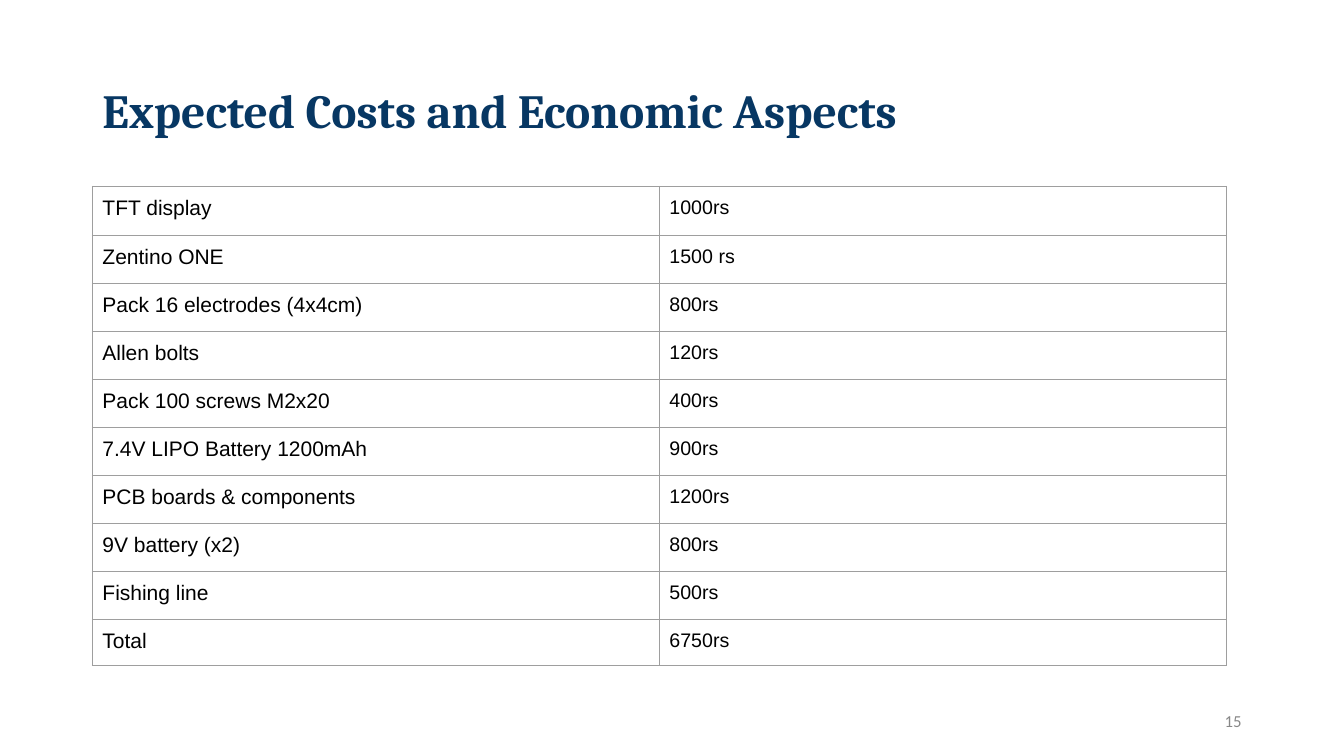
from lxml import etree
from pptx import Presentation
from pptx.dml.color import RGBColor
from pptx.enum import text
from pptx.oxml import ns
from pptx.util import Pt

COLORS = {"title": "073763", "body": "000000", "number": "888888", "border": "9E9E9E"}
COSTS = [
    ("TFT display", "1000rs"),
    ("Zentino ONE", "1500 rs"),
    ("Pack 16 electrodes (4x4cm)", "800rs"),
    ("Allen bolts", "120rs"),
    ("Pack 100 screws M2x20", "400rs"),
    ("7.4V LIPO Battery 1200mAh", "900rs"),
    ("PCB boards & components", "1200rs"),
    ("9V battery (x2)", "800rs"),
    ("Fishing line", "500rs"),
    ("Total", "6750rs"),
]
ROW_HEIGHTS = [35] + [34.3] * (len(COSTS) - 2) + [33.2]
ITEM_SIZE, PRICE_SIZE = 15, 14


def style(p, name, size, color, bold=False):
    p.font.name = name
    p.font.size = Pt(size)
    p.font.bold = bold
    p.font.color.rgb = RGBColor.from_string(COLORS[color])


def set_insets(target, x, y):
    target.margin_left = target.margin_right = Pt(x)
    target.margin_top = target.margin_bottom = Pt(y)


def add_borders(cell, width=0.75):
    tc_pr = cell._tc.get_or_add_tcPr()
    for i, side in enumerate(("lnL", "lnR", "lnT", "lnB")):
        ln = etree.Element(ns.qn("a:" + side), w=str(Pt(width)))
        fill = etree.SubElement(ln, ns.qn("a:solidFill"))
        etree.SubElement(fill, ns.qn("a:srgbClr"), val=COLORS["border"])
        tc_pr.insert(i, ln)


def add_title(slide, x, y, w, h):
    sp = slide.shapes.title
    sp.left, sp.top, sp.width, sp.height = Pt(x), Pt(y), Pt(w), Pt(h)
    tf = sp.text_frame
    tf.text = "Expected Costs and Economic Aspects"
    tf.word_wrap = True
    tf.vertical_anchor = text.MSO_ANCHOR.MIDDLE
    set_insets(tf, 7.2, 3.6)
    p = tf.paragraphs[0]
    p.alignment = text.PP_ALIGN.LEFT
    p.line_spacing = 0.9
    p.space_before = Pt(0)
    style(p, "Cambria", 34, "title", bold=True)


def add_cost_table(slide, x, y, w):
    frame = slide.shapes.add_table(
        len(COSTS), 2, Pt(x), Pt(y), Pt(w), Pt(sum(ROW_HEIGHTS)))
    table = frame.table
    table.first_row = table.horz_banding = False
    for column in table.columns:
        column.width = Pt(w / 2)
    for row, height, values in zip(table.rows, ROW_HEIGHTS, COSTS):
        row.height = Pt(height)
        for cell, value, size in zip(row.cells, values, (ITEM_SIZE, PRICE_SIZE)):
            cell.text = value
            cell.fill.background()
            set_insets(cell, 7.2, 7.2)
            style(cell.text_frame.paragraphs[0], "Arial", size, "body")
            add_borders(cell)


def add_page_number(slide, x, y, w, h):
    tf = slide.shapes.add_textbox(Pt(x), Pt(y), Pt(w), Pt(h)).text_frame
    tf.text = "15"
    tf.word_wrap = True
    tf.vertical_anchor = text.MSO_ANCHOR.MIDDLE
    set_insets(tf, 7.2, 3.6)
    p = tf.paragraphs[0]
    p.alignment = text.PP_ALIGN.RIGHT
    style(p, "Calibri", 12, "number")


def main():
    prs = Presentation()
    prs.slide_width, prs.slide_height = Pt(960), Pt(540)
    slide = prs.slides.add_slide(prs.slide_layouts[5])
    add_title(slide, 66, 28.75, 828, 104.4)
    add_cost_table(slide, 66, 133, 810)
    add_page_number(slide, 678, 500.5, 216, 28.75)
    prs.save("out.pptx")


if __name__ == "__main__":
    main()
